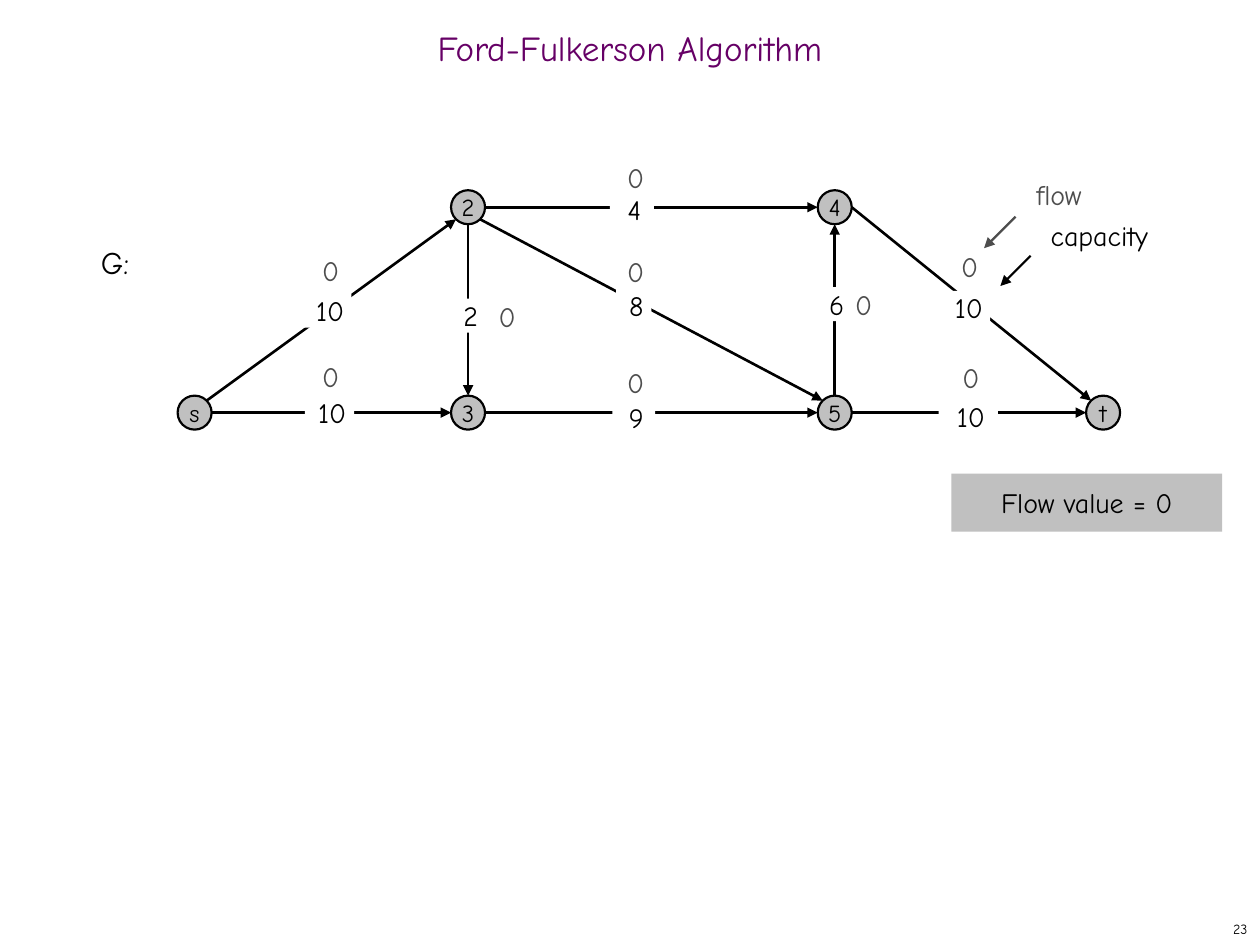
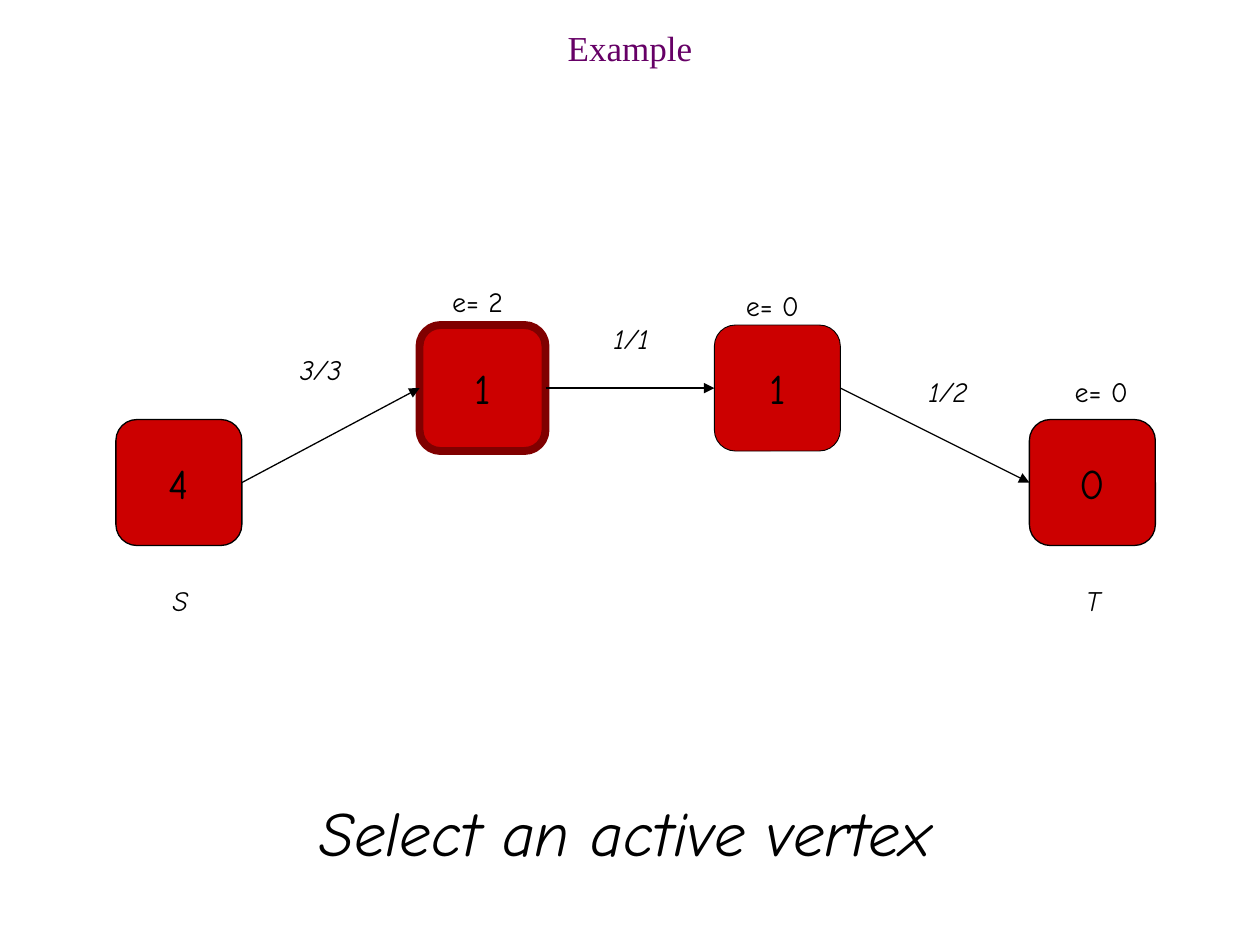
import dataclasses
import math
import typing

import lxml.etree
import pptx
import pptx.dml.color
import pptx.enum.shapes
import pptx.enum.text
import pptx.oxml.ns
import pptx.util

EMU_PER_PX = 9144
SHAPE = pptx.enum.shapes.MSO_SHAPE
ALIGN = pptx.enum.text.PP_ALIGN
ANCHOR = pptx.enum.text.MSO_ANCHOR


@dataclasses.dataclass(frozen=True)
class Theme:
    font: str = "Comic Neue"
    serif: str = "Times New Roman"
    title: str = "660066"
    ink: str = "000000"
    flow: str = "4D4D4D"
    paper: str = "FFFFFF"
    gray: str = "C0C0C0"
    red: str = "CC0000"
    dark_red: str = "800000"
    page_size: int = 8
    node_size: int = 14
    label_size: int = 16
    graph_size: int = 18
    title_size: int = 20
    vertex_size: int = 24
    caption_size: int = 36


THEME = Theme()


@dataclasses.dataclass(frozen=True)
class Label:
    text: str
    left: int
    top: int
    width: int
    height: int
    size: int = THEME.label_size
    color: str = THEME.ink
    fill: str | None = None
    italic: bool = False
    align: ALIGN = ALIGN.CENTER
    anchor: ANCHOR = ANCHOR.MIDDLE
    indent: int = 0
    right_inset: int = 0


@dataclasses.dataclass(frozen=True)
class Node:
    text: str
    left: int
    top: int
    side: int
    kind: SHAPE
    size: int
    fill: str
    line: str
    line_width: float


class Edge(typing.NamedTuple):
    start: str
    start_angle: int
    end: str
    end_angle: int


def px(length: float) -> int:
    return pptx.util.Emu(round(length * EMU_PER_PX))


def rgb(color: str) -> pptx.dml.color.RGBColor:
    return pptx.dml.color.RGBColor.from_string(color)


def write(shape, text: str, size: int, color: str, font: str = THEME.font,
          italic: bool = False, align: ALIGN = ALIGN.CENTER,
          anchor: ANCHOR = ANCHOR.MIDDLE, indent: int = 0, right_inset: int = 0) -> None:
    frame = shape.text_frame
    frame.text = text
    frame.word_wrap = True
    frame.auto_size = pptx.enum.text.MSO_AUTO_SIZE.NONE
    frame.vertical_anchor = anchor
    frame.margin_top = frame.margin_bottom = 0
    frame.margin_left, frame.margin_right = px(indent), px(right_inset)
    paragraph = frame.paragraphs[0]
    paragraph.alignment = align
    for run in paragraph.runs:
        run.font.name = font
        run.font.size = pptx.util.Pt(size)
        run.font.italic = italic
        run.font.color.rgb = rgb(color)


def add_titled_slide(presentation, title: str, font: str):
    slide = presentation.slides.add_slide(presentation.slide_layouts[5])
    shape = slide.shapes.title
    shape.left, shape.top, shape.width, shape.height = map(px, (0, 17, 1000, 50))
    write(shape, title, THEME.title_size, THEME.title, font)
    shape.text_frame.paragraphs[0].line_spacing = 0.7
    return slide


def add_label(slide, label: Label) -> None:
    box = [px(length) for length in (label.left, label.top, label.width, label.height)]
    if label.fill:
        shape = slide.shapes.add_shape(SHAPE.RECTANGLE, *box)
        shape.shadow.inherit = False
        shape.fill.solid()
        shape.fill.fore_color.rgb = rgb(label.fill)
        shape.line.fill.background()
    else:
        shape = slide.shapes.add_textbox(*box)
    write(shape, label.text, label.size, label.color, italic=label.italic, align=label.align,
          anchor=label.anchor, indent=label.indent, right_inset=label.right_inset)


def add_node(slide, node: Node):
    shape = slide.shapes.add_shape(node.kind, *map(px, (node.left, node.top, node.side, node.side)))
    shape.shadow.inherit = False
    shape.fill.solid()
    shape.fill.fore_color.rgb = rgb(node.fill)
    shape.line.color.rgb = rgb(node.line)
    shape.line.width = pptx.util.Pt(node.line_width)
    write(shape, node.text, node.size, THEME.ink)
    return shape


def add_arrow(slide, start: tuple[float, float], end: tuple[float, float],
              width: float, color: str = THEME.ink):
    connector = slide.shapes.add_connector(
        pptx.enum.shapes.MSO_CONNECTOR.STRAIGHT, *map(px, (*start, *end)))
    connector.line.color.rgb = rgb(color)
    connector.line.width = pptx.util.Pt(width)
    line = connector.line._get_or_add_ln()
    lxml.etree.SubElement(line, pptx.oxml.ns.qn("a:tailEnd"), type="triangle")
    properties = connector._element.spPr
    lxml.etree.SubElement(properties, pptx.oxml.ns.qn("a:effectLst"))
    return connector


def rim_point(node: Node, degrees: int) -> tuple[float, float]:
    radius = node.side / 2
    angle = math.radians(degrees)
    return (node.left + radius * (1 + math.cos(angle)),
            node.top + radius * (1 - math.sin(angle)))


def build_flow_network(presentation) -> None:
    slide = add_titled_slide(presentation, "Ford-Fulkerson Algorithm", THEME.font)
    add_label(slide, Label("23", 792, 725, 208, 25, THEME.page_size,
                           align=ALIGN.RIGHT, right_inset=10))

    upper, lower = 151, 314
    places = {"s": (141, lower), "2": (358, upper), "3": (358, lower),
              "4": (649, upper), "5": (649, lower), "t": (862, lower)}
    nodes = {name: Node(name, left, top, 27, SHAPE.OVAL, THEME.node_size,
                        THEME.gray, THEME.ink, 1.25)
             for name, (left, top) in places.items()}
    for node in nodes.values():
        add_node(slide, node)

    edges = [
        Edge("s", 45, "2", 225), Edge("s", 0, "3", 180), Edge("3", 0, "5", 180),
        Edge("2", 0, "4", 180), Edge("2", 270, "3", 90), Edge("5", 90, "4", 270),
        Edge("2", 315, "5", 135), Edge("4", 0, "t", 135), Edge("5", 0, "t", 180),
    ]
    for edge in edges:
        add_arrow(slide, rim_point(nodes[edge.start], edge.start_angle),
                  rim_point(nodes[edge.end], edge.end_angle), 1.5)

    capacities = [
        ("10", 242, 314, 39, 4), ("10", 233, 233, 46, 12), ("9", 486, 318, 34, 4),
        ("8", 489, 229, 28, 4), ("4", 484, 153, 35, 4), ("10", 745, 317, 47, 4),
        ("10", 740, 231, 46, 12), ("6", 639, 228, 46, 4), ("2", 348, 237, 47, 4),
    ]
    for text, left, top, width, indent in capacities:
        add_label(slide, Label(text, left, top, width, 27, fill=THEME.paper,
                               anchor=ANCHOR.TOP, indent=indent))

    flow_places = [(244, 201), (486, 127), (751, 198), (244, 285), (486, 290),
                   (752, 286), (486, 202), (384, 238), (667, 228)]
    for left, top in flow_places:
        add_label(slide, Label("0", left, top, 37, 19, color=THEME.flow, anchor=ANCHOR.TOP))

    for label in (
        Label("G:", 74, 193, 48, 30, THEME.graph_size, fill=THEME.paper,
              align=ALIGN.LEFT, anchor=ANCHOR.TOP, indent=6),
        Label("Flow value = 0", 755, 376, 215, 46, fill=THEME.gray),
        Label("flow", 805, 136, 71, 37, color=THEME.flow),
        Label("capacity", 811, 168, 123, 37),
    ):
        add_label(slide, label)
    add_arrow(slide, (806, 172), (781, 197), 1.25, THEME.flow)
    add_arrow(slide, (818, 203), (794, 227), 1.25)


def build_vertex_example(presentation) -> None:
    slide = add_titled_slide(presentation, "Example", THEME.serif)
    vertices = [
        add_node(slide, Node(text, left, top, 100, SHAPE.ROUNDED_RECTANGLE,
                             THEME.vertex_size, THEME.red, line, width))
        for text, left, top, line, width in (
            ("4", 92, 333, THEME.ink, 0.75),
            ("1", 333, 258, THEME.dark_red, 4.5),
            ("1", 567, 258, THEME.ink, 0.5),
            ("0", 817, 333, THEME.ink, 0.75),
        )
    ]
    right_site, left_site = 3, 1
    for start, end in zip(vertices, vertices[1:]):
        connector = add_arrow(slide, (0, 0), (0, 0), 0.75)
        connector.begin_connect(start, right_site)
        connector.end_connect(end, left_site)

    for text, left, top, width, italic in (
        ("3/3", 228, 275, 53, True), ("1/1", 477, 250, 48, True),
        ("1/2", 727, 292, 51, True), ("S", 127, 458, 32, True),
        ("T", 852, 458, 31, True), ("e= 2", 349, 221, 60, False),
        ("e= 0", 582, 224, 62, False), ("e= 0", 843, 292, 62, False),
    ):
        add_label(slide, Label(text, left, top, width, 37, italic=italic))
    add_label(slide, Label("Select an active vertex", 100, 625, 792, 70,
                           THEME.caption_size, italic=True))


def main() -> None:
    presentation = pptx.Presentation()
    presentation.slide_width, presentation.slide_height = px(1000), px(750)
    build_flow_network(presentation)
    build_vertex_example(presentation)
    presentation.save("out.pptx")


if __name__ == "__main__":
    main()
